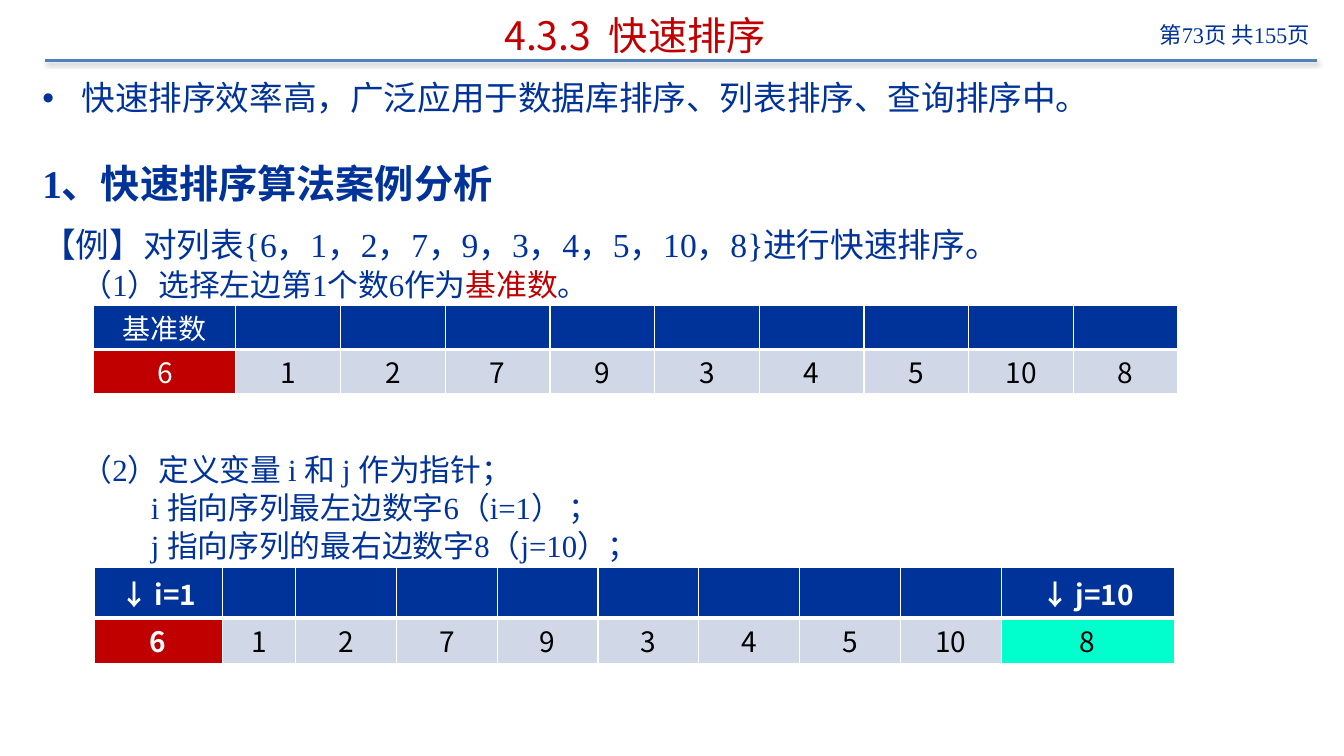
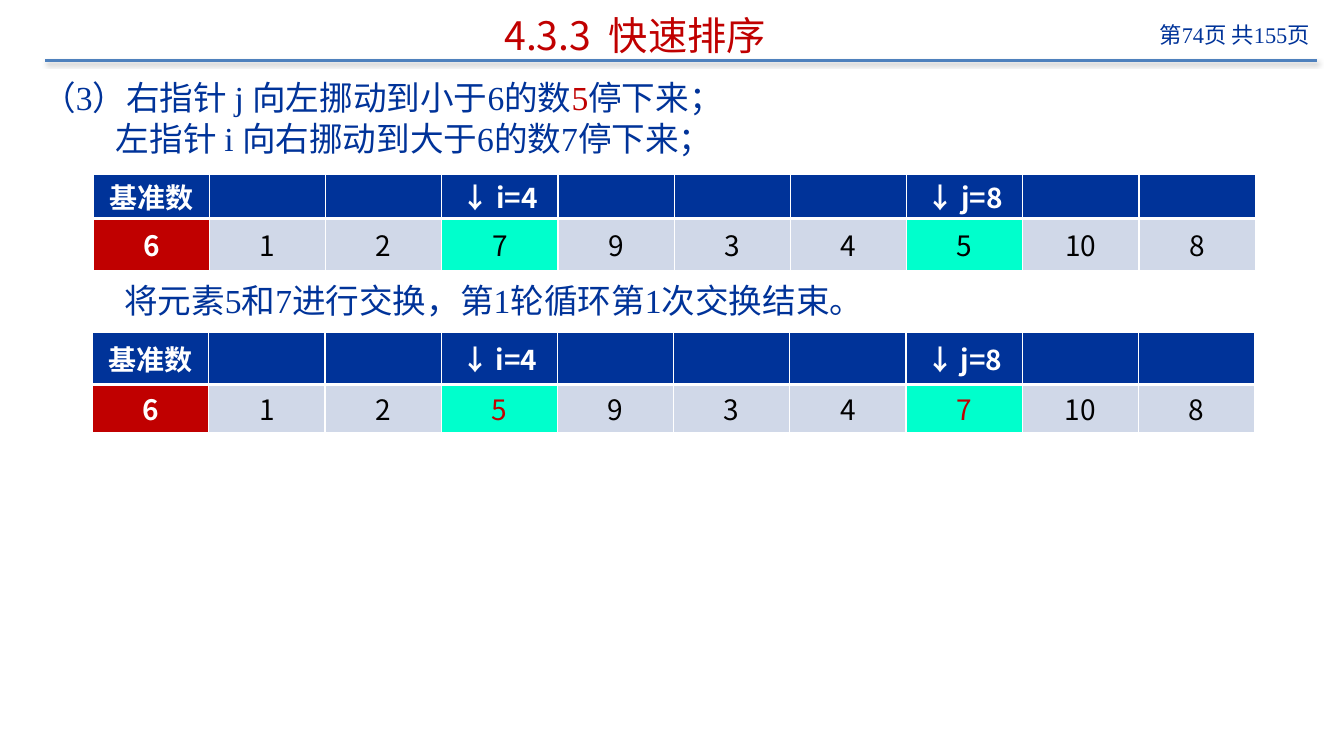
from dataclasses import dataclass

from lxml import etree
from pptx import Presentation
from pptx.dml.color import RGBColor
from pptx.enum.shapes import MSO_CONNECTOR
from pptx.enum.text import MSO_ANCHOR, PP_ALIGN
from pptx.oxml import parse_xml
from pptx.oxml.ns import qn
from pptx.util import Pt

LEFT, CENTER, RIGHT = PP_ALIGN.LEFT, PP_ALIGN.CENTER, PP_ALIGN.RIGHT
MIDDLE = MSO_ANCHOR.MIDDLE
STRAIGHT = MSO_CONNECTOR.STRAIGHT

NAVY = RGBColor(0x00, 0x33, 0x99)
RED = RGBColor(0xC0, 0x00, 0x00)
MINT = RGBColor(0x00, 0xFF, 0xCC)
PALE = RGBColor(0xD0, 0xD8, 0xE8)
STEEL = RGBColor(0x4F, 0x81, 0xBD)
WHITE = RGBColor(0xFF, 0xFF, 0xFF)
BLACK = RGBColor(0x00, 0x00, 0x00)

SERIF = "Times New Roman"
SANS = "Noto Sans CJK SC"
LINE_HEIGHT = {16: 20, 22: 27, 24: 29, 28: 34}
BODY_LEFT, BODY_WIDTH = 30.25, 903
INDENT = 28
PAGE_COUNT = 155
SHADOW = (
    '<a:effectLst xmlns:a="http://schemas.openxmlformats.org/drawingml/2006/main">'
    '<a:outerShdw blurRad="39370" dist="20320" dir="5400000" rotWithShape="0">'
    '<a:srgbClr val="000000"><a:alpha val="38000"/></a:srgbClr>'
    "</a:outerShdw></a:effectLst>"
)


@dataclass(frozen=True)
class Run:
    text: str
    color: RGBColor = NAVY


@dataclass(frozen=True)
class Line:
    runs: tuple[Run, ...]
    size: int = 24
    indent: float = 0
    bold: bool = False
    bullet: bool = False
    font: str = SERIF
    align: PP_ALIGN = LEFT


@dataclass(frozen=True)
class Block:
    top: float
    lines: tuple[Line, ...]
    left: float = BODY_LEFT
    width: float = BODY_WIDTH


@dataclass(frozen=True)
class Trace:
    left: float
    top: float
    widths: tuple[float, ...]
    heights: tuple[float, float]
    labels: dict[int, str]
    values: tuple[int, ...]
    marked: tuple[int, ...] = ()
    swapped: bool = False
    bold: bool = True


@dataclass(frozen=True)
class Page:
    number: int
    blocks: tuple[Block, ...]
    traces: tuple[Trace, ...]


def add_run(p, text: str, size: int, color: RGBColor, font: str, bold: bool) -> None:
    r = p.add_run()
    r.text = text
    r.font.size = Pt(size)
    r.font.bold = bold
    r.font.color.rgb = color
    r.font.name = font
    etree.SubElement(r.font._element, qn("a:ea"), typeface=SANS)


def add_block(s, block: Block) -> None:
    height = sum(LINE_HEIGHT[line.size] for line in block.lines)
    sp = s.shapes.add_textbox(Pt(block.left), Pt(block.top), Pt(block.width), Pt(height))
    tf = sp.text_frame
    tf.word_wrap = True
    tf.margin_left = tf.margin_top = tf.margin_right = tf.margin_bottom = 0
    for i, line in enumerate(block.lines):
        p = tf.add_paragraph() if i else tf.paragraphs[0]
        p.alignment = line.align
        p.line_spacing = Pt(LINE_HEIGHT[line.size])
        pPr = p._p.get_or_add_pPr()
        pPr.set("marL", str(Pt(line.indent)))
        if line.bullet:
            pPr.set("indent", str(-Pt(line.indent)))
            etree.SubElement(pPr, qn("a:buFont"), typeface="Arial")
            etree.SubElement(pPr, qn("a:buChar"), char="•")
        for run in line.runs:
            add_run(p, run.text, line.size, run.color, line.font, line.bold)


def style_cell(cell, fill: RGBColor, top: float, bottom: float) -> None:
    tcPr = cell._tc.get_or_add_tcPr()
    for tag, width in (("lnL", 1), ("lnR", 1), ("lnT", top), ("lnB", bottom)):
        ln = etree.SubElement(tcPr, qn(f"a:{tag}"), w=str(Pt(width)))
        solid = etree.SubElement(ln, qn("a:solidFill"))
        etree.SubElement(solid, qn("a:srgbClr"), val=str(WHITE))
    cell.fill.solid()
    cell.fill.fore_color.rgb = fill
    cell.margin_left = cell.margin_right = Pt(5)
    cell.margin_top = cell.margin_bottom = 0
    cell.vertical_anchor = MIDDLE


def add_cell_text(cell, text: str, color: RGBColor, bold: bool) -> None:
    p = cell.text_frame.paragraphs[0]
    p.alignment = CENTER
    add_run(p, text, 20, color, SANS, bold)


def add_trace(s, trace: Trace) -> None:
    table = s.shapes.add_table(
        2, len(trace.values), Pt(trace.left), Pt(trace.top),
        Pt(sum(trace.widths)), Pt(sum(trace.heights)),
    ).table
    table.first_row = table.horz_banding = False
    for row, height in zip(table.rows, trace.heights):
        row.height = Pt(height)
    for i, (width, value) in enumerate(zip(trace.widths, trace.values)):
        table.columns[i].width = Pt(width)
        header, body = table.cell(0, i), table.cell(1, i)
        style_cell(header, NAVY, 1, 3)
        if i in trace.labels:
            add_cell_text(header, trace.labels[i], WHITE, trace.bold)
        fill, color = PALE, BLACK
        if i == 0:
            fill, color = RED, WHITE
        elif i in trace.marked:
            fill, color = MINT, RED if trace.swapped else BLACK
        style_cell(body, fill, 3, 1)
        add_cell_text(body, str(value), color, trace.bold and i == 0)


def add_frame(s, number: int) -> None:
    rule = s.shapes.add_connector(STRAIGHT, Pt(32.5), Pt(43.3), Pt(941), Pt(43.3))
    rule.line.color.rgb = STEEL
    rule.line.width = Pt(2)
    rule._element.spPr.append(parse_xml(SHADOW))
    page = Run(f"第{number}页 共{PAGE_COUNT}页")
    add_block(s, Block(14.3, (Line((page,), 16, align=RIGHT),), 787, 148.5))
    title = Run("4.3.3  快速排序", RED)
    add_block(s, Block(7.6, (Line((title,), 28, font=SANS, align=CENTER),), 55.5, 796))


VALUES = (6, 1, 2, 7, 9, 3, 4, 5, 10, 8)
SWAPPED = (6, 1, 2, 5, 9, 3, 4, 7, 10, 8)
EVEN = (83,) * 10
POINTERS = {0: "基准数", 3: "↓ i=4", 7: "↓ j=8"}

PAGES = (
    Page(
        73,
        (
            Block(55, (
                Line((Run("快速排序效率高，广泛应用于数据库排序、列表排序、查询排序中。"),),
                     indent=INDENT, bullet=True),
            )),
            Block(113.3, (Line((Run("1、快速排序算法案例分析"),), 28, bold=True),)),
            Block(160, (
                Line((Run("【例】对列表{6，1，2，7，9，3，4，5，10，8}进行快速排序。"),)),
                Line((Run("（1）选择左边第1个数6作为"), Run("基准数", RED), Run("。")),
                     22, INDENT),
            )),
            Block(321.3, (
                Line((Run("（2）定义变量 i 和 j 作为指针；"),), 22, INDENT),
                Line((Run("i 指向序列最左边数字6（i=1） ；"),), 22, 77.5),
                Line((Run("j 指向序列的最右边数字8（j=10）；"),), 22, 77.5),
            )),
        ),
        (
            Trace(67, 218.3, (101.5,) + (74.8,) * 9, (31.3, 31.3),
                  {0: "基准数"}, VALUES, bold=False),
            Trace(67.3, 405.4, (91.4, 52.5) + (72,) * 7 + (123.5,), (36, 32.4),
                  {0: "↓ i=1", 9: "↓ j=10"}, VALUES, (9,)),
        ),
    ),
    Page(
        74,
        (
            Block(55, (
                Line((Run("（3）右指针 j 向左挪动到小于6的数"), Run("5", RED),
                      Run("停下来；"))),
                Line((Run("左指针 i 向右挪动到大于6的数7停下来；"),), indent=52.6),
            )),
            Block(200, (
                Line((Run("将元素5和7进行交换，第1轮循环第1次交换结束。"),), indent=58.4),
            )),
        ),
        (
            Trace(66.6, 124.7, EVEN, (31.4, 37), POINTERS, VALUES, (3, 7)),
            Trace(66.2, 237.6, EVEN, (37, 34.3), POINTERS, SWAPPED, (3, 7), True),
        ),
    ),
)


def main() -> None:
    prs = Presentation()
    prs.slide_width, prs.slide_height = Pt(960), Pt(540)
    for page in PAGES:
        s = prs.slides.add_slide(prs.slide_layouts[6])
        add_frame(s, page.number)
        for block in page.blocks:
            add_block(s, block)
        for trace in page.traces:
            add_trace(s, trace)
    prs.save("out.pptx")


if __name__ == "__main__":
    main()
